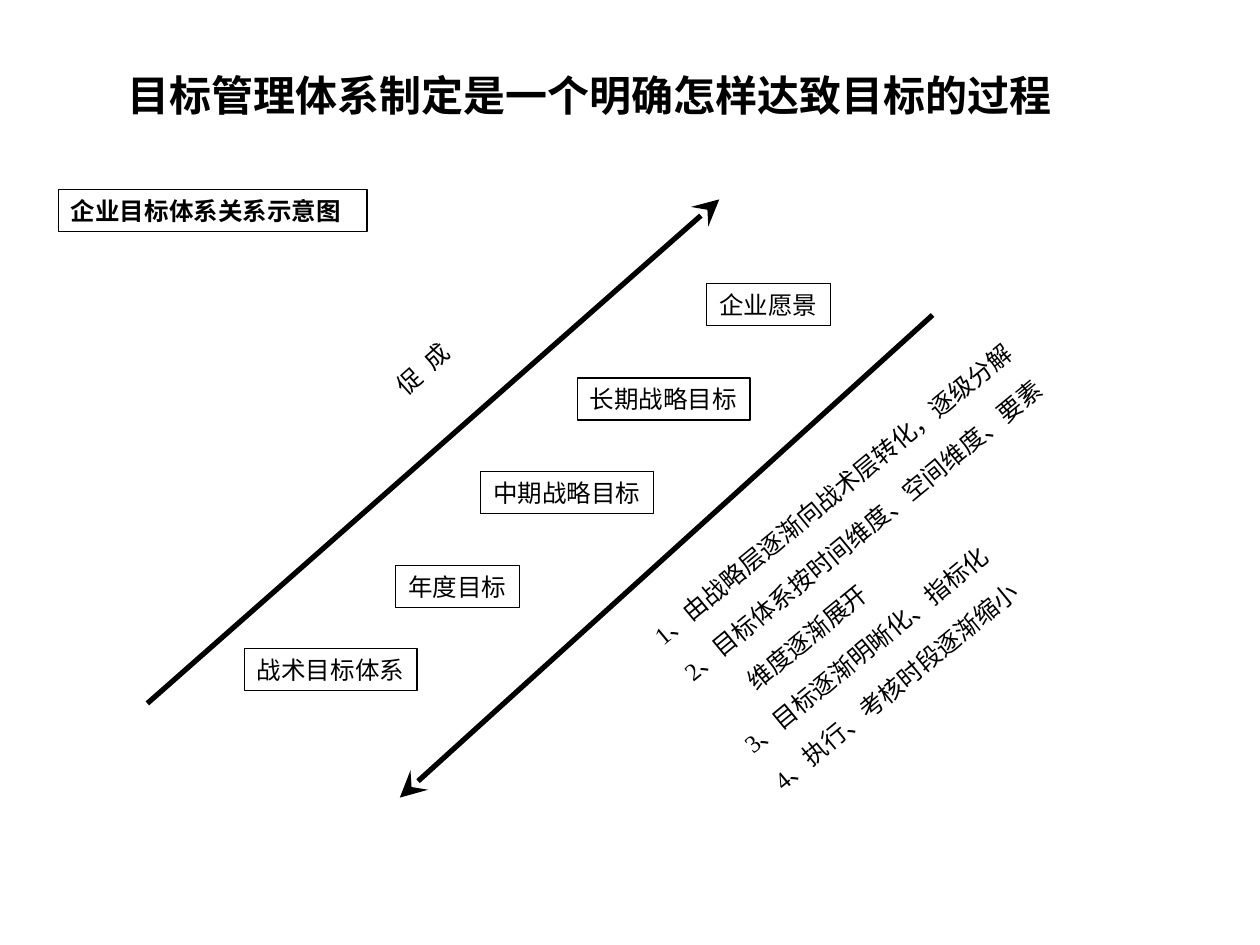
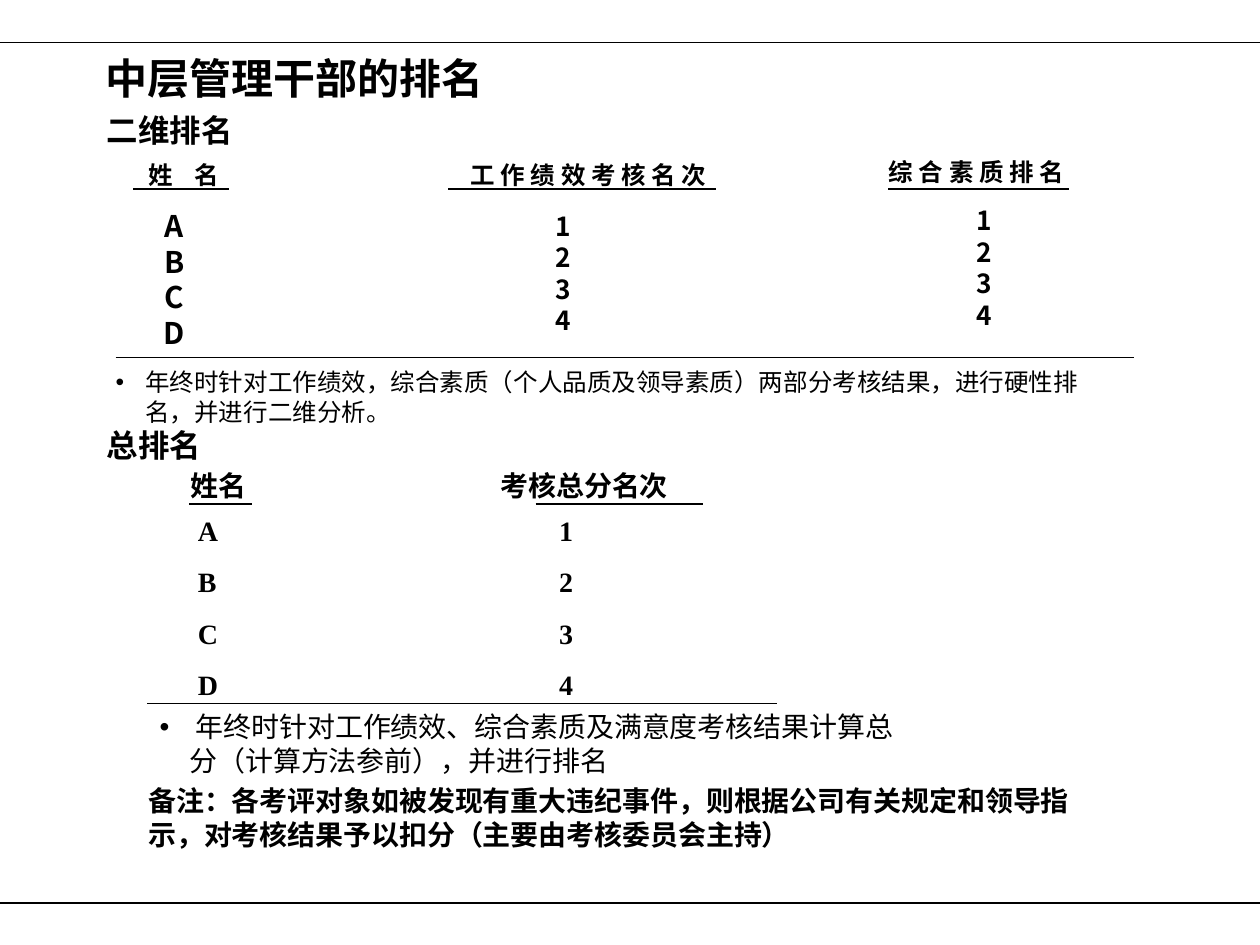
import pptx
import pptx.util
import pptx.dml.color
import pptx.enum.shapes
import pptx.enum.text
import pptx.oxml.ns
import lxml.etree

Cm = pptx.util.Cm
Pt = pptx.util.Pt
ALIGN = pptx.enum.text.PP_ALIGN
qn = pptx.oxml.ns.qn

BLACK = pptx.dml.color.RGBColor(0x00, 0x00, 0x00)
SANS = "Noto Sans CJK SC"
SERIF = "Times New Roman"
PADDED = (0.25, 0.13)
NARROW = (0, 0.13)
FLUSH = (0, 0)


def font_format(size, name=SERIF, bold=False):
    return {"size": Pt(size), "name": name, "bold": bold}


LABEL = font_format(14)
TITLE = font_format(24, bold=True)
SUBTITLE = font_format(18, bold=True)
COLUMN_HEAD = font_format(14, SANS, True)
TOTAL = font_format(16, bold=True)


def add_child(parent, tag, **values):
    child = lxml.etree.SubElement(parent, qn(tag))
    for name, value in values.items():
        child.set(name, str(value))
    return child


def set_indent(para, left, first):
    properties = para._p.get_or_add_pPr()
    properties.set("marL", str(Cm(left)))
    properties.set("indent", str(Cm(first)))
    return properties


def write_text(box, lines, font, margins=PADDED, wrap=True, tracking=0,
               gap=0, **layout):
    frame = box.text_frame
    frame_format = {
        "margin_left": Cm(margins[0]), "margin_right": Cm(margins[0]),
        "margin_top": Cm(margins[1]), "margin_bottom": Cm(margins[1]),
        "word_wrap": wrap, "auto_size": pptx.enum.text.MSO_AUTO_SIZE.NONE,
        "vertical_anchor": pptx.enum.text.MSO_ANCHOR.TOP,
    }
    for name, value in frame_format.items():
        setattr(frame, name, value)
    para_format = {"alignment": ALIGN.LEFT, **layout}
    for index, line in enumerate(lines):
        para = frame.add_paragraph() if index else frame.paragraphs[0]
        para.space_before = Pt(gap if index else 0)
        for name, value in para_format.items():
            setattr(para, name, value)
        span = para.add_run()
        span.text = line
        span.font.color.rgb = BLACK
        for name, value in font.items():
            setattr(span.font, name, value)
        properties = span._r.get_or_add_rPr()
        add_child(properties, "a:ea", typeface=SANS)
        if tracking:
            properties.set("spc", str(tracking))
    return frame.paragraphs


def place(box, left, top, width, height, rotation=0):
    spot = {"left": Cm(left), "top": Cm(top), "width": Cm(width),
            "height": Cm(height), "rotation": rotation}
    for name, value in spot.items():
        setattr(box, name, value)
    return box


def add_text(page, spot, lines, font, rotation=0, **options):
    box = page.shapes.add_textbox(0, 0, 0, 0)
    place(box, *spot, rotation)
    return write_text(box, lines, font, **options)


def add_framed_label(page, spot, label, font=LABEL, wrap=False):
    box = page.shapes.add_shape(
        pptx.enum.shapes.MSO_SHAPE.RECTANGLE, *map(Cm, spot))
    box.shadow.inherit = False
    box.fill.background()
    box.line.color.rgb = BLACK
    box.line.width = Pt(0.75)
    write_text(box, [label], font, wrap=wrap)


def add_line(page, start, end, weight=0.75, arrow=False):
    line = page.shapes.add_connector(
        pptx.enum.shapes.MSO_CONNECTOR.STRAIGHT, *map(Cm, start + end))
    line.line.color.rgb = BLACK
    line.line.width = Pt(weight)
    if arrow:
        add_child(line.line._get_or_add_ln(), "a:tailEnd",
                  type="stealth", w="lg", len="lg")
    add_child(line._element.spPr, "a:effectLst")


def add_rule(page, left, right, top, weight=0.75):
    add_line(page, (left, top), (right, top), weight)


def add_tab(paras, position):
    for para in paras:
        stops = add_child(para._p.get_or_add_pPr(), "a:tabLst")
        add_child(stops, "a:tab", pos=Cm(position), algn="l")


def fill_bullet(box, spot, text, font, **options):
    para = write_text(place(box, *spot), [text], font, **options)[0]
    properties = set_indent(para, 0.6, -0.6)
    add_child(properties, "a:buFont", typeface="Arial")
    add_child(properties, "a:buChar", char="•")


def build_goal_page(deck):
    page = deck.slides.add_slide(deck.slide_layouts[1])
    title, body = page.placeholders
    write_text(place(title, 2.32, 1.27, 20.75, 1.27),
               ["目标管理体系制定是一个明确怎样达致目标的过程"], TITLE)
    add_framed_label(page, (1.18, 3.82, 6.22, 0.85), "企业目标体系关系示意图",
                     font_format(14, bold=True), True)
    goals = [
        ("战术目标体系", 4.93, 13.07, 3.48),
        ("年度目标", 7.98, 11.4, 2.49),
        ("中期战略目标", 9.69, 9.5, 3.48),
        ("长期战略目标", 11.64, 7.62, 3.48),
        ("企业愿景", 14.25, 5.72, 2.49),
    ]
    for goal, left, top, width in goals:
        add_framed_label(page, (left, top, width, 0.85), goal)
    add_line(page, (2.97, 14.18), (14.5, 4.02), 3, True)
    add_line(page, (18.8, 6.35), (8.06, 16.08), 3, True)
    add_text(page, (7.67, 7.01, 1.7, 0.86), ["促 成"], LABEL, 318.3,
             wrap=False, tracking=175)
    steps = [
        "1、由战略层逐渐向战术层转化，逐级分解",
        "2、目标体系按时间维度、空间维度、要素",
        "维度逐渐展开",
        "3、目标逐渐明晰化、指标化",
        "4、执行、考核时段逐渐缩小",
    ]
    place(body, 13.22, 8.58, 9.78, 5, 320.4)
    for para in write_text(body, steps, LABEL, margins=NARROW, wrap=False,
                           line_spacing=1.6):
        continued = para.text == steps[2]
        add_child(set_indent(para, 0.86 if continued else 0, 0), "a:buNone")


def build_ranking_page(deck):
    page = deck.slides.add_slide(deck.slide_layouts[3])
    title, ranking_note, total_note = page.placeholders
    write_text(place(title, 2.12, 1.05, 14.17, 1.02), ["中层管理干部的排名"],
               font_format(24, SANS, True), FLUSH)
    add_rule(page, 0, 25.4, 0.85)
    add_rule(page, 0, 25.4, 18.21, 1)

    add_text(page, (1.9, 2.11, 8.89, 1.02), ["二维排名"], SUBTITLE)
    columns = [
        ("姓 名", (2.62, 3.23, 2.18, 0.58), 470, (2.69, 4.62),
         "ABCD", 17, (3.34, 4.19, 0.36, 3.61)),
        ("工 作 绩 效 考 核 名 次", (8.08, 3.23, 7.57, 0.58), 0, (9.04, 14.43),
         "1234", 15, (11.2, 4.23, 0.33, 3.18)),
        ("综 合 素 质 排 名", (15.9, 3.17, 7.57, 0.58), 0, (17.91, 21.54),
         "1234", 15, (19.67, 4.12, 0.33, 3.18)),
    ]
    for head, head_spot, tracking, rule, entries, size, entry_spot in columns:
        add_text(page, head_spot, [head], COLUMN_HEAD, margins=FLUSH,
                 tracking=tracking, alignment=ALIGN.CENTER)
        add_rule(page, *rule, 3.81)
        add_text(page, entry_spot, entries, font_format(size, SANS, True),
                 margins=FLUSH, wrap=False, alignment=ALIGN.CENTER)
    add_rule(page, 2.33, 22.86, 7.2)
    fill_bullet(ranking_note, (2.33, 7.4, 19.69, 2.36),
                "年终时针对工作绩效，综合素质（个人品质及领导素质）两部分考核结果，"
                "进行硬性排名，并进行二维分析。",
                font_format(14, SANS), margins=FLUSH)

    add_text(page, (1.9, 8.46, 20.32, 1.02), ["总排名"], SUBTITLE)
    add_tab(add_text(page, (3.59, 9.32, 15.88, 0.94),
                     ["姓名\t考核总分名次"], TOTAL), 6.25)
    add_rule(page, 3.81, 5.08, 10.16)
    add_rule(page, 10.8, 14.18, 10.16)
    ranks = [f"{name}\t{rank}" for rank, name in enumerate("ABCD", 1)]
    add_tab(add_text(page, (3.74, 10.23, 11.5, 3.9), ranks, TOTAL, gap=10),
            7.28)
    add_rule(page, 2.97, 15.67, 14.18)
    fill_bullet(total_note, (2.97, 14.18, 15.67, 1.63),
                " 年终时针对工作绩效、综合素质及满意度考核结果计算总分"
                "（计算方法参前），并进行排名", font_format(16))
    add_text(page, (2.74, 15.67, 19.28, 1.63),
             ["备注：各考评对象如被发现有重大违纪事件，则根据公司有关规定和领导指示，"
              "对考核结果予以扣分（主要由考核委员会主持）"], TOTAL)


def main():
    deck = pptx.Presentation()
    deck.slide_width = Cm(25.4)
    deck.slide_height = Cm(19.05)
    build_goal_page(deck)
    build_ranking_page(deck)
    deck.save("out.pptx")


if __name__ == "__main__":
    main()
